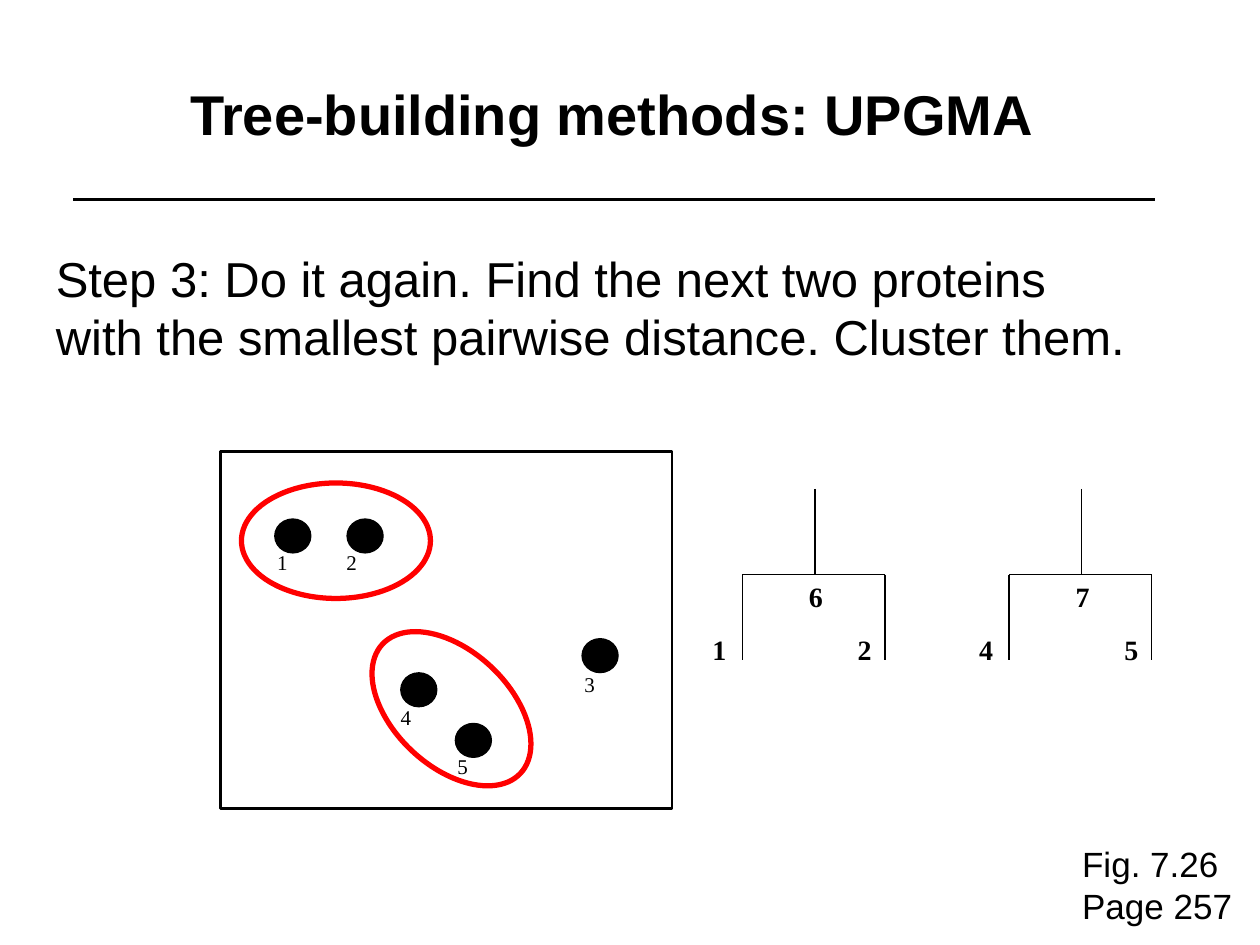
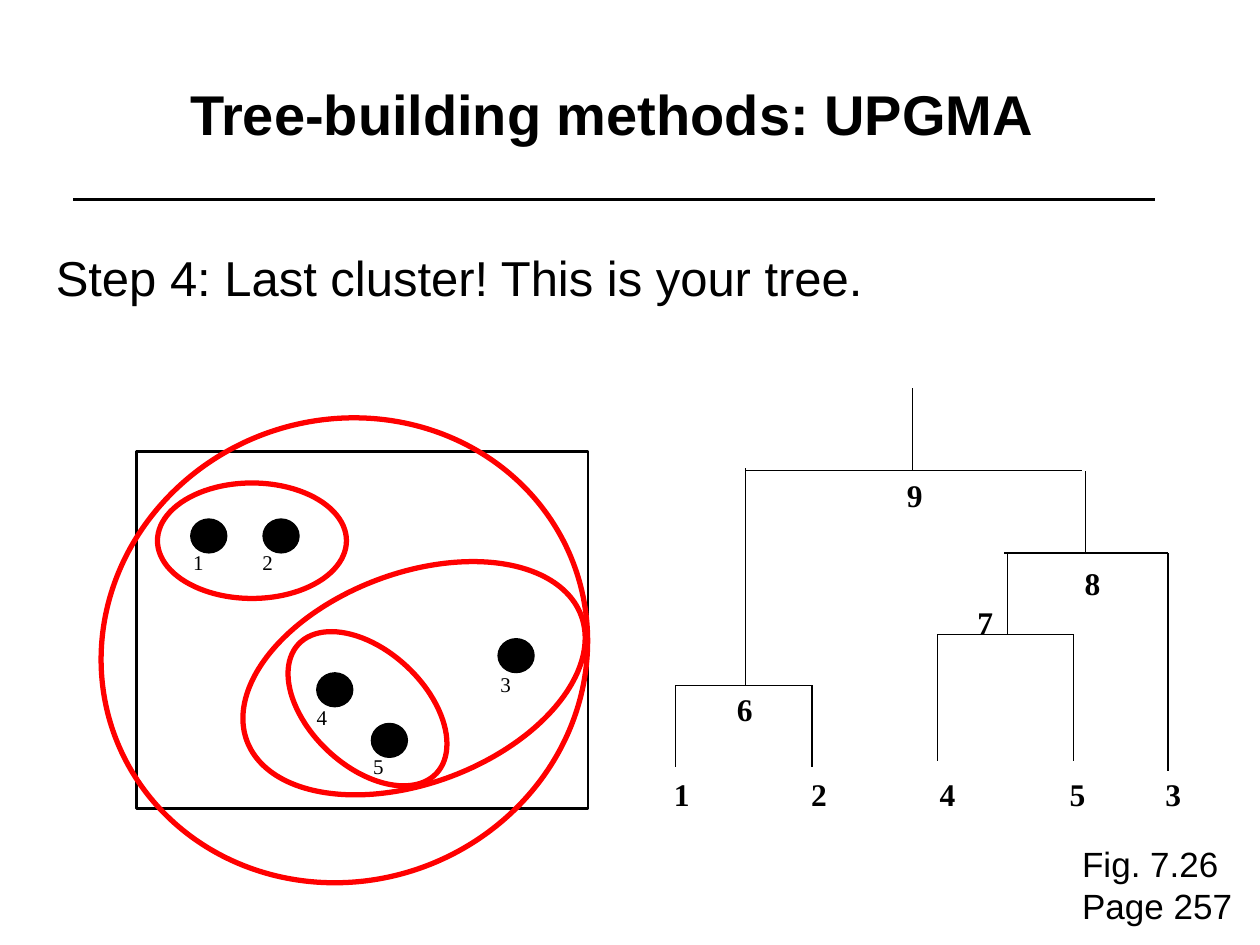
from lxml import etree
from pptx import Presentation
from pptx import util as u
from pptx.dml.color import RGBColor
from pptx.enum import shapes, text
from pptx.oxml import ns

COLORS = {"ink": "000000", "cluster": "FF0000"}
SANS, SERIF = "Arial", "Times New Roman"

PROTEINS = {
    "1": ((31, 38.6), (25.2, 52.3)),
    "2": ((72.3, 38.6), (64.8, 52.3)),
    "3": ((206.6, 107), (200.9, 122.2)),
    "4": ((103, 126.5), (95.8, 140.9)),
    "5": ((134.2, 155.4), (128.2, 169)),
}
DOT_W, DOT_H = 20.6, 19.4

CLUSTER_6 = (12, 18, 108, 66, 0)
CLUSTER_7 = (78, 114, 108, 66, 43.1)
CLUSTER_8 = (56.6, 69.6, 204, 120, -20.6)
CLUSTER_9 = (-21.2, -18.2, 280, 263.6, -20.6)


def pts(*values):
    return [u.Pt(v) for v in values]


def rgb(name):
    return RGBColor.from_string(COLORS[name])


def add_text(parent, box, content, size, font=SANS, bold=False):
    sp = parent.add_textbox(*pts(*box))
    tf = sp.text_frame
    tf.word_wrap = False
    tf.auto_size = text.MSO_AUTO_SIZE.SHAPE_TO_FIT_TEXT
    for i, line in enumerate(content.split("\n")):
        p = tf.paragraphs[0] if i == 0 else tf.add_paragraph()
        r = p.add_run()
        r.text = line
        r.font.name, r.font.size, r.font.bold = font, u.Pt(size), bold
        r.font.color.rgb = rgb("ink")
    return sp


def add_line(parent, x1, y1, x2, y2, width=0.75):
    ln = parent.add_connector(shapes.MSO_CONNECTOR.STRAIGHT, *pts(x1, y1, x2, y2))
    ln.line.color.rgb = rgb("ink")
    ln.line.width = u.Pt(width)
    etree.SubElement(ln._element.spPr, ns.qn("a:effectLst"))
    return ln


def add_outline(parent, kind, box, width, color="ink", filled=False):
    sp = parent.add_shape(kind, *pts(*box))
    sp.shadow.inherit = False
    if filled:
        sp.fill.solid()
        sp.fill.fore_color.rgb = rgb(color)
    else:
        sp.fill.background()
    sp.line.color.rgb = rgb(color)
    sp.line.width = u.Pt(width)
    return sp


def add_frame(s, step):
    add_text(s.shapes, (101.5, 41.8, 498.2, 46), "Tree-building methods: UPGMA", 32, bold=True)
    add_line(s.shapes, 42, 114, 660, 114, 2.25)
    lines = step.count("\n") + 1
    add_text(s.shapes, (24.8, 138.2, 633 if lines > 1 else 484, 7.2 + 33.8 * lines), step, 28)
    add_text(s.shapes, (611.3, 478, 100, 55.4), "Fig. 7.26\nPage 257", 20)


def add_map(s, left, top, clusters):
    group = s.shapes.add_group_shape().shapes
    add_outline(group, shapes.MSO_SHAPE.RECTANGLE, (left, top, 258, 204), 1.5)
    for name, ((dx, dy), (tx, ty)) in PROTEINS.items():
        add_outline(group, shapes.MSO_SHAPE.OVAL, (left + dx, top + dy, DOT_W, DOT_H), 0.75, filled=True)
        add_text(group, (left + tx, top + ty, 20.2, 21.6), name, 12, SERIF)
    for x, y, w, h, angle in clusters:
        ring = add_outline(s.shapes, shapes.MSO_SHAPE.OVAL, (left + x, top + y, w, h), 3, "cluster")
        ring.rotation = angle


def add_fork(s, left, top, width, drops, stem_x, stem):
    add_line(s.shapes, left, top, left + width, top)
    for x, drop in zip((left, left + width), drops):
        if drop:
            add_line(s.shapes, x, top, x, top + drop)
    add_line(s.shapes, left + stem_x, top - stem, left + stem_x, top)


def add_tree(s, left, top, size, forks, labels):
    for x, y, *shape in forks:
        add_fork(s, left + x, top + y, *shape)
    for name, (x, y) in labels.items():
        add_text(s.shapes, (left + x, top + y, 8.1 + size * 0.86, 7.2 + size * 1.2), name, size, SERIF, True)


def build_step_3(prs):
    s = prs.slides.add_slide(prs.slide_layouts[6])
    add_frame(s, "Step 3: Do it again. Find the next two proteins\n"
                 "with the smallest pairwise distance. Cluster them.")
    add_map(s, 126, 258, [CLUSTER_6, CLUSTER_7])
    for i, (a, b, node) in enumerate(("126", "457")):
        add_tree(s, 400 + 152.4 * i, 279.4, 16, [(24.2, 49, 81.6, (49, 49), 41.6, 49)],
                 {a: (0, 78.5), b: (83, 78.5), node: (55.2, 48.2)})


def build_step_4(prs):
    s = prs.slides.add_slide(prs.slide_layouts[6])
    add_frame(s, "Step 4: Last cluster! This is your tree.")
    add_map(s, 78, 258, [CLUSTER_6, CLUSTER_7, CLUSTER_8, CLUSTER_9])
    forks = [
        (8, 169.7, 78, (46.8, 46.8), 40, 124),
        (157.6, 140.6, 78, (72, 72), 40, 46.6),
        (195.8, 94, 93.6, (0, 124.6), 46.6, 46.6),
        (48, 46.8, 192.4, (0, 0), 95.4, 46.8),
    ]
    leaves = {"1": 0, "2": 78.5, "4": 151.9, "5": 226.1, "3": 280.8}
    nodes = {"6": (36, 169), "7": (173.5, 119.3), "8": (234.7, 97), "9": (133.2, 46.6)}
    add_tree(s, 378, 222, 18, forks, {**{k: (x, 217.2) for k, x in leaves.items()}, **nodes})


def main():
    prs = Presentation()
    prs.slide_width, prs.slide_height = pts(720, 540)
    build_step_3(prs)
    build_step_4(prs)
    prs.save("out.pptx")


if __name__ == "__main__":
    main()
